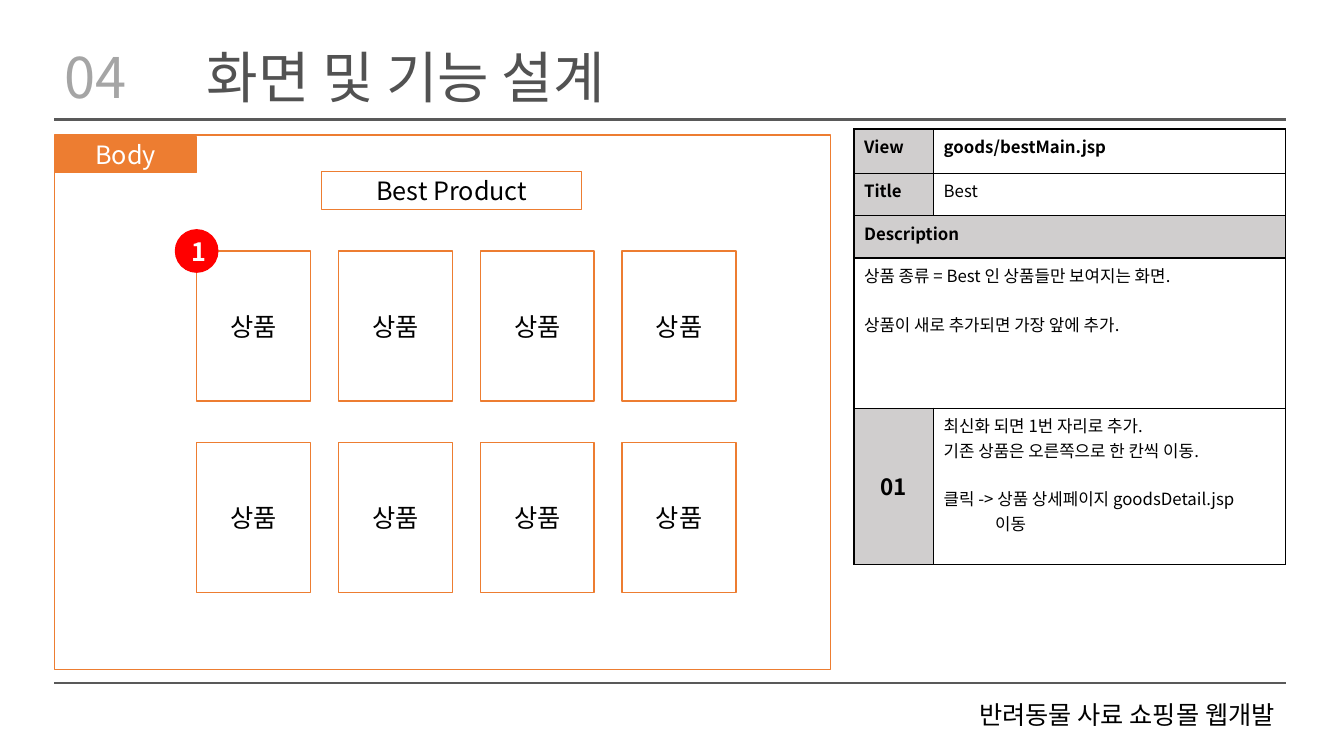
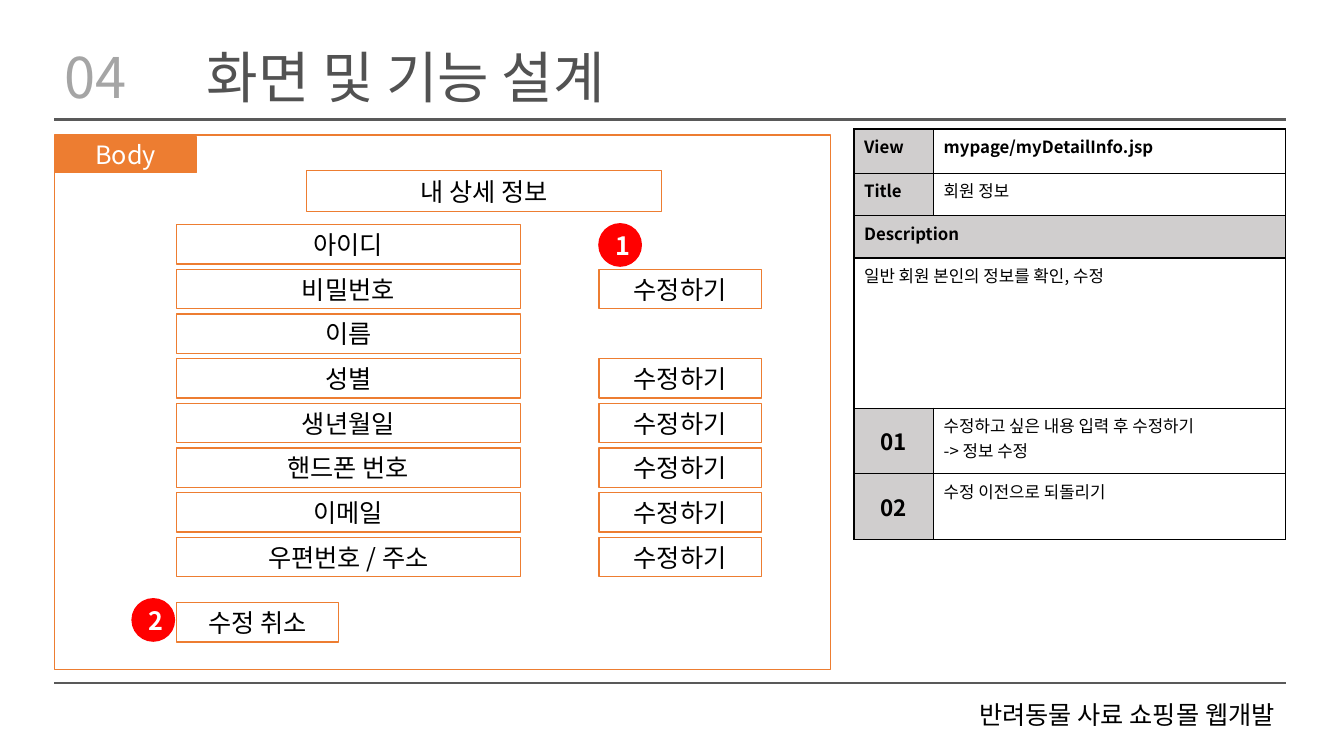
from dataclasses import dataclass
from typing import NamedTuple

from lxml.etree import SubElement
from pptx import Presentation
from pptx.dml.color import RGBColor
from pptx.enum.shapes import MSO_CONNECTOR, MSO_SHAPE
from pptx.enum.text import MSO_ANCHOR, MSO_AUTO_SIZE, PP_ALIGN
from pptx.oxml.ns import qn
from pptx.util import Inches, Pt

FONT = "Noto Sans CJK KR"
BLACK = RGBColor(0x00, 0x00, 0x00)
WHITE = RGBColor(0xFF, 0xFF, 0xFF)
ORANGE = RGBColor(0xED, 0x7D, 0x31)
RED = RGBColor(0xFF, 0x00, 0x00)
RULE_GRAY = RGBColor(0x59, 0x59, 0x59)
TITLE_GRAY = RGBColor(0x52, 0x52, 0x52)
NUMBER_GRAY = RGBColor(0xA5, 0xA5, 0xA5)
HEADER_GRAY = RGBColor(0xD0, 0xCE, 0xCE)

SECTION_NUMBER = "04"
SECTION_TITLE = "화면 및 기능 설계"
FOOTER = "반려동물 사료 쇼핑몰 웹개발"
LEFT, RIGHT = 0.54, 12.75
BADGE_SIZE = 0.42
BLANK_LINE = Pt(17.4)


class Box(NamedTuple):
    left: float
    top: float
    width: float
    height: float

    def lengths(self):
        return [Inches(value) for value in self]


@dataclass
class Label:
    text: str
    box: Box


@dataclass
class Badge:
    number: int
    left: float
    top: float


@dataclass
class Line:
    text: str
    gap_above: bool = False
    indent: float = 0


@dataclass
class Step:
    number: str
    lines: list[Line]
    height: float = 0.65


@dataclass
class Screen:
    view: str
    title: str
    description: list[Line]
    steps: list[Step]
    labels: list[Label]
    badges: list[Badge]


def format_paragraph(paragraph, size: float, color: RGBColor, bold: bool = False,
                     alignment=PP_ALIGN.LEFT) -> None:
    paragraph.alignment = alignment
    for run in paragraph.runs:
        run.font.name = FONT
        run.font.size = Pt(size)
        run.font.bold = bold
        run.font.color.rgb = color
        SubElement(run.font._element, qn("a:ea"), typeface=FONT)


def write_line(shape, text: str, size: float, color: RGBColor, line_spacing: float = 1.0,
               bold: bool = False, alignment=PP_ALIGN.LEFT) -> None:
    """Write one vertically centred paragraph into a shape."""
    frame = shape.text_frame
    frame.text = text
    frame.word_wrap = True
    frame.auto_size = MSO_AUTO_SIZE.NONE
    frame.vertical_anchor = MSO_ANCHOR.MIDDLE
    paragraph = frame.paragraphs[0]
    paragraph.line_spacing = line_spacing
    paragraph.space_before = Pt(0)
    format_paragraph(paragraph, size, color, bold, alignment)


def add_box(slide, box: Box, text: str = "", fill: RGBColor | None = None,
            line: RGBColor = ORANGE, color: RGBColor = BLACK, bold: bool = False,
            kind=MSO_SHAPE.RECTANGLE) -> None:
    shape = slide.shapes.add_shape(kind, *box.lengths())
    shape.shadow.inherit = False
    if fill is None:
        shape.fill.background()
    else:
        shape.fill.solid()
        shape.fill.fore_color.rgb = fill
    shape.line.color.rgb = line
    shape.line.width = Pt(1)
    if text:
        write_line(shape, text, 18, color, bold=bold, alignment=PP_ALIGN.CENTER)


def add_badge(slide, badge: Badge) -> None:
    box = Box(badge.left, badge.top, BADGE_SIZE, BADGE_SIZE)
    add_box(slide, box, str(badge.number), RED, RED, WHITE, True, MSO_SHAPE.OVAL)


def add_rule(slide, top: float, width: float) -> None:
    rule = slide.shapes.add_connector(
        MSO_CONNECTOR.STRAIGHT, Inches(LEFT), Inches(top), Inches(RIGHT), Inches(top))
    rule.line.color.rgb = RULE_GRAY
    rule.line.width = Pt(width)
    SubElement(rule._element.spPr, qn("a:effectLst"))


def add_frame(slide) -> None:
    """Draw the title, rules, footer and body panel shared by all slides."""
    title = slide.shapes.title
    title.left, title.top, title.width, title.height = Box(1.95, 0.47, 10.8, 0.66).lengths()
    write_line(title, SECTION_TITLE, 40, TITLE_GRAY, 0.9)
    number = slide.shapes.add_textbox(*Box(LEFT, 0.47, 0.84, 0.66).lengths())
    write_line(number, SECTION_NUMBER, 40, NUMBER_GRAY, 0.9)
    footer = slide.shapes.add_textbox(*Box(7.73, 6.93, 5.01, 0.37).lengths())
    write_line(footer, FOOTER, 18, BLACK, 0.8, alignment=PP_ALIGN.RIGHT)
    add_rule(slide, 1.19, 2.25)
    add_rule(slide, 6.78, 1.5)
    add_box(slide, Box(LEFT, 1.34, 7.7, 5.3))
    add_box(slide, Box(LEFT, 1.36, 1.41, 0.35), "Body", ORANGE, color=WHITE)


def style_cell(cell, fill: RGBColor) -> None:
    properties = cell._tc.get_or_add_tcPr()
    for side in ("a:lnL", "a:lnR", "a:lnT", "a:lnB"):
        border = SubElement(properties, qn(side), w=str(Pt(1)))
        solid = SubElement(border, qn("a:solidFill"))
        SubElement(solid, qn("a:srgbClr"), val=str(BLACK))
    cell.fill.solid()
    cell.fill.fore_color.rgb = fill


def write_cell(cell, lines: list[Line], size: float = 12, bold: bool = False,
               alignment=PP_ALIGN.LEFT) -> None:
    cell.text_frame.text = "\n".join(line.text for line in lines)
    for paragraph, line in zip(cell.text_frame.paragraphs, lines):
        if line.gap_above:
            paragraph.space_before = BLANK_LINE
        if line.indent:
            paragraph._p.get_or_add_pPr().set("marL", str(Inches(line.indent)))
        format_paragraph(paragraph, size, BLACK, bold, alignment)


def add_specification(slide, screen: Screen) -> None:
    heights = [0.44, 0.42, 0.42, 1.49] + [step.height for step in screen.steps]
    box = Box(8.47, 1.28, 4.28, sum(heights))
    table = slide.shapes.add_table(len(heights), 2, *box.lengths()).table
    table.first_row = table.horz_banding = False
    for column, width in zip(table.columns, (0.79, 3.49)):
        column.width = Inches(width)
    for row, height in zip(table.rows, heights):
        row.height = Inches(height)
    for row_index in range(len(heights)):
        for column_index in range(2):
            is_header = row_index == 2 or (column_index == 0 and row_index != 3)
            style_cell(table.cell(row_index, column_index), HEADER_GRAY if is_header else WHITE)
    for row_index in (2, 3):
        table.cell(row_index, 0).merge(table.cell(row_index, 1))

    for row_index, heading in enumerate(("View", "Title", "Description")):
        write_cell(table.cell(row_index, 0), [Line(heading)], bold=True)
    write_cell(table.cell(0, 1), [Line(screen.view)], bold=True)
    write_cell(table.cell(1, 1), [Line(screen.title)])
    write_cell(table.cell(3, 0), screen.description)
    for row_index, step in enumerate(screen.steps, start=4):
        number_cell = table.cell(row_index, 0)
        number_cell.vertical_anchor = MSO_ANCHOR.MIDDLE
        write_cell(number_cell, [Line(step.number)], 16, True, PP_ALIGN.CENTER)
        write_cell(table.cell(row_index, 1), step.lines)


def add_screen(presentation, screen: Screen) -> None:
    slide = presentation.slides.add_slide(presentation.slide_layouts[5])
    add_frame(slide)
    add_specification(slide, screen)
    for label in screen.labels:
        add_box(slide, label.box, label.text)
    for badge in screen.badges:
        add_badge(slide, badge)


def best_screen() -> Screen:
    column_pitch, row_pitch = 4.22 / 3, 1.9
    products = [
        Label("상품", Box(1.95 + column * column_pitch, 2.49 + row * row_pitch, 1.13, 1.49))
        for row in range(2) for column in range(4)
    ]
    return Screen(
        view="goods/bestMain.jsp",
        title="Best",
        description=[
            Line("상품 종류 = Best 인 상품들만 보여지는 화면."),
            Line("상품이 새로 추가되면 가장 앞에 추가.", gap_above=True),
        ],
        steps=[Step("01", [
            Line("최신화 되면 1번 자리로 추가."),
            Line("기존 상품은 오른쪽으로 한 칸씩 이동."),
            Line("클릭 -> 상품 상세페이지 goodsDetail.jsp", gap_above=True),
            Line("이동", indent=0.51),
        ], height=1.55)],
        labels=[Label("Best Product", Box(3.19, 1.7, 2.58, 0.38)), *products],
        badges=[Badge(1, 1.74, 2.28)],
    )


def member_screen() -> Screen:
    fields = ["아이디", "비밀번호", "이름", "성별", "생년월일", "핸드폰 번호", "이메일",
              "우편번호 / 주소"]
    read_only = {"아이디", "이름"}
    pitch = 3.1 / 7
    labels = [Label("내 상세 정보", Box(3.04, 1.69, 3.52, 0.41))]
    for index, field in enumerate(fields):
        top = 2.23 + index * pitch
        labels.append(Label(field, Box(1.75, top, 3.41, 0.39)))
        if field not in read_only:
            labels.append(Label("수정하기", Box(5.94, top, 1.61, 0.39)))
    labels.append(Label("수정 취소", Box(1.75, 5.98, 1.61, 0.39)))
    return Screen(
        view="mypage/myDetailInfo.jsp",
        title="회원 정보",
        description=[Line("일반 회원 본인의 정보를 확인, 수정")],
        steps=[
            Step("01", [Line("수정하고 싶은 내용 입력 후 수정하기"), Line("-> 정보 수정")]),
            Step("02", [Line("수정 이전으로 되돌리기")]),
        ],
        labels=labels,
        badges=[Badge(1, 5.94, 2.22), Badge(2, 1.31, 5.94)],
    )


def main() -> None:
    presentation = Presentation()
    presentation.slide_width = Inches(13.33)
    presentation.slide_height = Inches(7.5)
    for screen in (best_screen(), member_screen()):
        add_screen(presentation, screen)
    presentation.save("out.pptx")


if __name__ == "__main__":
    main()
